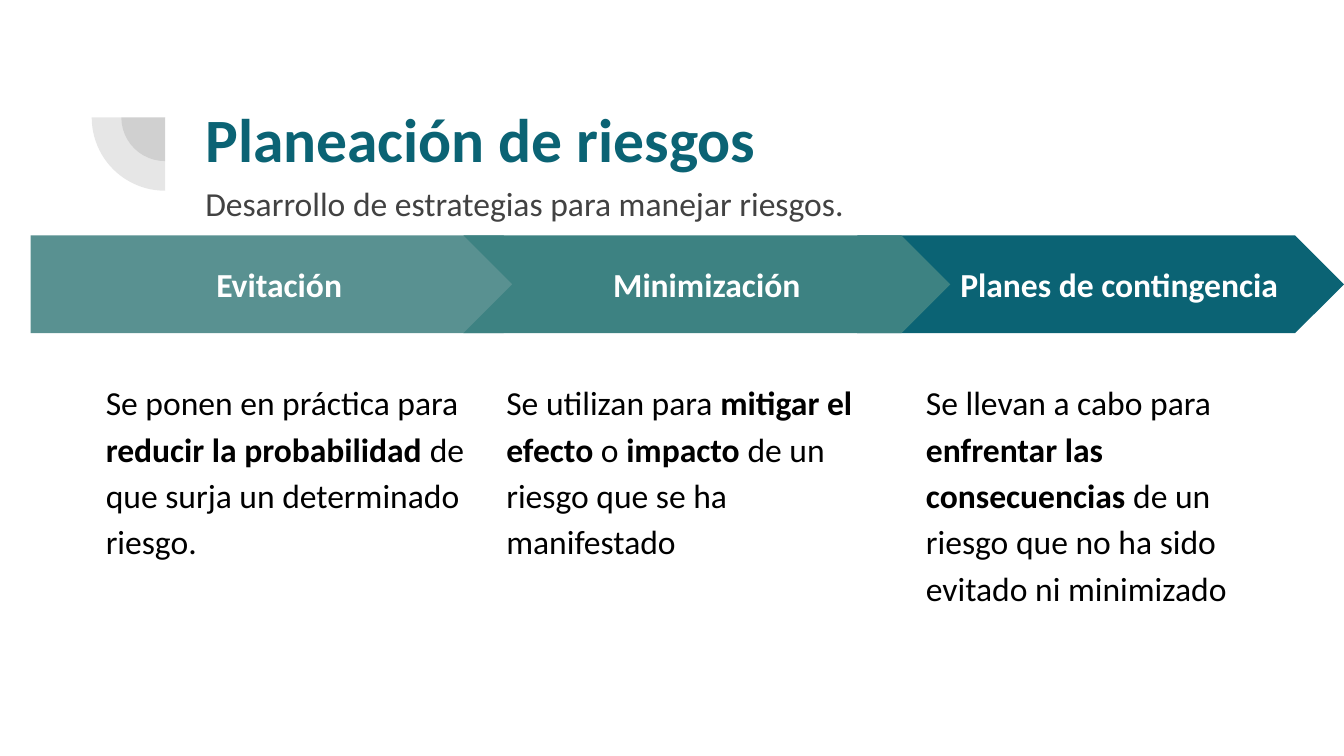
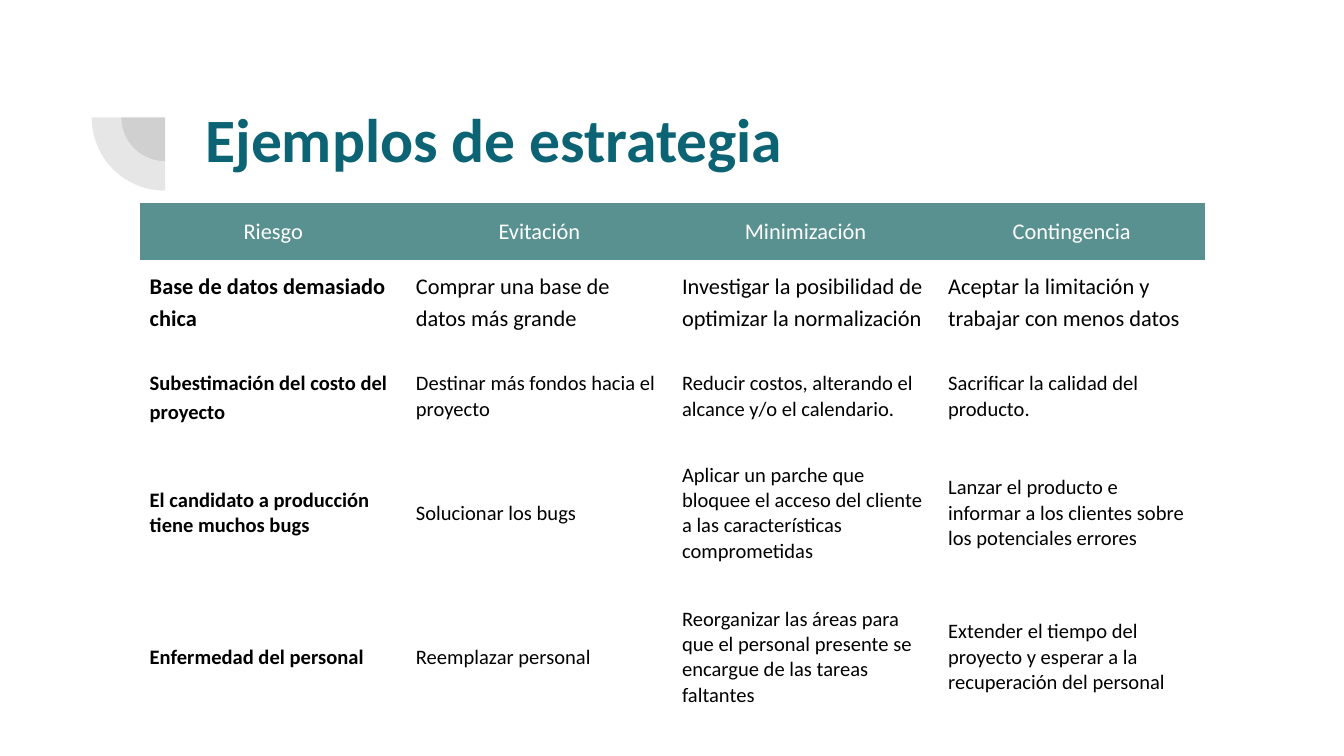
"""Builds two slides on risk planning: strategies and examples."""
from lxml.etree import SubElement
from pptx import Presentation
from pptx.dml.color import RGBColor as Rgb
from pptx.enum.shapes import MSO_SHAPE as Kind
from pptx.enum.text import MSO_ANCHOR as Anchor, MSO_AUTO_SIZE as Auto, PP_ALIGN as Align
from pptx.oxml.ns import qn
from pptx.util import Cm, Pt

HUES = {
    "deep": "0B6374",
    "mid": "3D8282",
    "soft": "599191",
    "gray": "424242",
    "white": "FFFFFF",
    "black": "000000",
}
FONT = "Calibri"
BARE = "{2D5ABB26-0587-4C30-8999-92F81FD0307C}"
PAD = Cm(0.25)
FRAME = {
    "word_wrap": True,
    "auto_size": Auto.NONE,
    "vertical_anchor": Anchor.TOP,
    "margin_left": PAD,
    "margin_right": PAD,
    "margin_top": PAD,
    "margin_bottom": PAD,
}
CELL = {
    "vertical_anchor": Anchor.MIDDLE,
    "margin_left": Cm(0.18),
    "margin_right": Cm(0.18),
    "margin_top": Cm(0.18),
    "margin_bottom": Cm(0.18),
}
STEPS = [
    ("Planes de contingencia", Kind.CHEVRON, "deep", 16.2, 9.2, 17.25,
     "Se llevan a cabo para *enfrentar las consecuencias *"
     "de un riesgo que no ha sido evitado ni minimizado"),
    ("Evitación", Kind.PENTAGON, "soft", 0.58, 9.86, 1.75,
     "Se ponen en práctica para *reducir la probabilidad *"
     "de que surja un determinado riesgo."),
    ("Minimización", Kind.CHEVRON, "mid", 8.76, 9.2, 9.32,
     "Se utilizan para *mitigar el efecto *o *impacto *"
     "de un riesgo que se ha manifestado"),
]
HEAD = ["Riesgo", "Evitación", "Minimización", "Contingencia"]
CASES = [
    (3.84, 12, 4, [
        "*Base de datos demasiado chica*",
        "Comprar una base de datos más grande",
        "Investigar la posibilidad de optimizar la normalización",
        "Aceptar la limitación y trabajar con menos datos"]),
    (6.76, 11, 1, [
        "*Subestimación del costo del proyecto*",
        "Destinar más fondos hacia el proyecto",
        "Reducir costos, alterando el alcance y/o el calendario.",
        "Sacrificar la calidad del producto."]),
    (8.56, 11, 0, [
        "*El candidato a producción tiene muchos bugs*",
        "Solucionar los bugs",
        "Aplicar un parche que bloquee el acceso del cliente "
        "a las características comprometidas",
        "Lanzar el producto e informar a los clientes "
        "sobre los potenciales errores"]),
    (11.28, 11, 0, [
        "*Enfermedad del personal*",
        "Reemplazar personal",
        "Reorganizar las áreas para que el personal presente "
        "se encargue de las tareas faltantes",
        "Extender el tiempo del proyecto y esperar "
        "a la recuperación del personal"]),
]


def apply(item, vals):
    """Set each attribute of the item from a dict."""
    for name, val in vals.items():
        setattr(item, name, val)


def tint(fill, hue):
    """Make a fill solid in a named colour."""
    fill.solid()
    fill.fore_color.rgb = Rgb.from_string(HUES[hue])


def write(frame, text, size, hue, **form):
    """Write one paragraph, with bold parts between asterisks."""
    para = frame.paragraphs[0]
    apply(para, {"alignment": Align.LEFT, **form})
    for num, part in enumerate(text.split("*")):
        if part:
            run = para.add_run()
            run.text = part
            apply(run.font, {"name": FONT, "size": Pt(size), "bold": num % 2 == 1})
            run.font.color.rgb = Rgb.from_string(HUES[hue])


def draw(slide, kind, box, hue):
    """Add a flat shape without outline."""
    shape = slide.shapes.add_shape(kind, *map(Cm, box))
    shape.shadow.inherit = False
    shape.line.fill.background()
    tint(shape.fill, hue)
    return shape


def label(slide, box, text, size, hue, **form):
    """Add a wrapped text box."""
    frame = slide.shapes.add_textbox(*map(Cm, box)).text_frame
    apply(frame, FRAME)
    write(frame, text, size, hue, **form)


def wedge(slide, size):
    """Add a translucent quarter disc beside the title."""
    shape = draw(slide, Kind.PIE, (3.12 - size / 2, 2.22 - size / 2, size, size), "gray")
    shape.rotation = 270
    shape.adjustments[0] = 107.93
    shape.adjustments[1] = 162
    for node in shape.element.iter(qn("a:srgbClr")):
        SubElement(node, qn("a:alpha"), val="13000")


def start(deck, text):
    """Add a slide with its wedges and title."""
    slide = deck.slides.add_slide(deck.slide_layouts[5])
    for size in (1.65, 2.77):
        wedge(slide, size)
    title = slide.shapes.title
    apply(title, {"left": Cm(3.63), "top": Cm(1.65), "width": Cm(19.53), "height": Cm(2.77)})
    apply(title.text_frame, FRAME)
    write(title.text_frame, f"*{text}*", 33, "deep")
    return slide


def step(slide, name, kind, hue, left, width, edge, note):
    """Add an arrow with its name and the note below it."""
    frame = draw(slide, kind, (left, 4.45, width, 1.85), hue).text_frame
    apply(frame, {**FRAME, "vertical_anchor": Anchor.MIDDLE})
    if hue == "deep":
        apply(frame, {"margin_left": Cm(0.84), "margin_right": Cm(0.13)})
    write(frame, f"*{name}*", 18, "white", alignment=Align.CENTER)
    label(slide, (edge, 6.86, 7.49, 7.26), note, 18, "black", line_spacing=1.15)


def grid(slide, top, size, loose, texts, head=None):
    """Add a table of one case, with a header row if given."""
    rows = [head, texts] if head else [texts]
    box = (2.65, top, 5.03 * len(texts), 1.07 * len(rows))
    shape = slide.shapes.add_table(len(rows), len(texts), *map(Cm, box))
    for node in shape.element.iter(qn("a:tableStyleId")):
        node.text = BARE
    table = shape.table
    apply(table, {"first_row": bool(head), "horz_banding": False})
    for row, line in enumerate(rows):
        for col, text in enumerate(line):
            cell = table.cell(row, col)
            apply(cell, CELL)
            if line is head:
                tint(cell.fill, "soft")
                write(cell.text_frame, text, size, "white", alignment=Align.CENTER)
            else:
                cell.fill.background()
                gap = 1.15 if col < loose else 1.0
                write(cell.text_frame, text, size, "black", line_spacing=gap)


def main():
    """Build and save the deck."""
    deck = Presentation()
    apply(deck, {"slide_width": Cm(25.4), "slide_height": Cm(14.29)})
    plan = start(deck, "Planeación de riesgos")
    label(plan, (3.63, 3.1, 19.53, 1.35), "Desarrollo de estrategias para manejar riesgos.",
          18, "gray", line_spacing=1.15, space_after=Pt(16))
    for item in STEPS:
        step(plan, *item)
    cases = start(deck, "Ejemplos de estrategia")
    for num, case in enumerate(CASES):
        grid(cases, *case, head=None if num else HEAD)
    deck.save("out.pptx")


if __name__ == "__main__":
    main()
